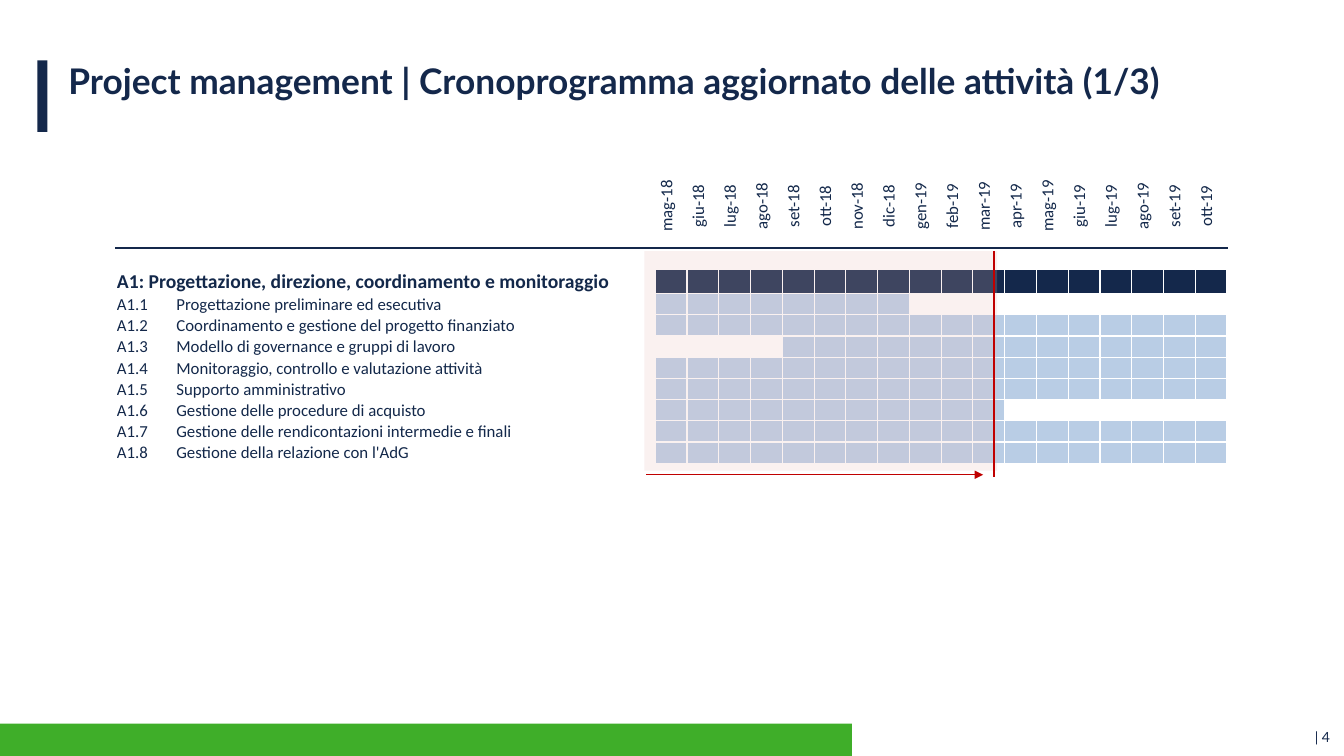
from dataclasses import dataclass

from lxml import etree
from pptx import Presentation
from pptx import util as u
from pptx.dml import color
from pptx.enum import shapes, text
from pptx.oxml import ns


@dataclass(frozen=True)
class Theme:
    navy: str = "14284B"
    table_text: str = "13284A"
    green: str = "3FAE29"
    bar: str = "B9CDE5"
    white: str = "FFFFFF"
    elapsed: str = "E6B9B8"
    red: str = "C00000"
    heading_font: str = "Lato"
    table_font: str = "Calibri"
    title_size: float = 25.2
    phase_size: float = 14
    table_size: float = 12
    page_size: float = 10
    empty_size: float = 8


THEME = Theme()
MONTHS = ["mag", "giu", "lug", "ago", "set", "ott", "nov", "dic", "gen",
          "feb", "mar", "apr", "mag", "giu", "lug", "ago", "set", "ott"]
FIRST_YEAR_MONTHS = 8
PHASE = "A1: Progettazione, direzione, coordinamento e monitoraggio"
ACTIVITIES = [
    ("Progettazione preliminare ed esecutiva", 0, 8),
    ("Coordinamento e gestione del progetto finanziato", 0, 18),
    ("Modello di governance e gruppi di lavoro", 4, 18),
    ("Monitoraggio, controllo e valutazione attività", 0, 18),
    ("Supporto amministrativo", 0, 18),
    ("Gestione delle procedure di acquisto", 0, 11),
    ("Gestione delle rendicontazioni intermedie e finali", 0, 18),
    ("Gestione della relazione con l'AdG", 0, 18),
]
LABEL_WIDTHS = [0.59, 4.76]
TABLE_WIDTH = 11.02
ROW_HEIGHTS = [0.83, 0.21, 0.24] + [0.21] * len(ACTIVITIES)


def rgb(value):
    return color.RGBColor.from_string(value)


def write_text(frame, wording, size, font=THEME.table_font, ink=THEME.table_text,
               bold=False, align=text.PP_ALIGN.LEFT):
    para = frame.paragraphs[0]
    para.alignment = align
    span = para.add_run()
    span.text = wording
    span.font.size = u.Pt(size)
    span.font.name = font
    span.font.bold = bold
    span.font.color.rgb = rgb(ink)


def add_text_box(page, left, top, width, height, wording, size,
                 anchor=text.MSO_ANCHOR.TOP, **style):
    box = page.shapes.add_textbox(*map(u.Inches, (left, top, width, height)))
    box.text_frame.word_wrap = True
    box.text_frame.vertical_anchor = anchor
    write_text(box.text_frame, wording, size, font=THEME.heading_font,
               ink=THEME.navy, **style)


def add_rectangle(parent, left, top, width, height, fill, opacity=100):
    box = parent.shapes.add_shape(shapes.MSO_SHAPE.RECTANGLE,
                                  *map(u.Inches, (left, top, width, height)))
    box.shadow.inherit = False
    box.fill.solid()
    box.fill.fore_color.rgb = rgb(fill)
    box.line.fill.background()
    if opacity < 100:
        tint = box.fill._xPr.find(".//" + ns.qn("a:srgbClr"))
        etree.SubElement(tint, ns.qn("a:alpha"), val=str(opacity * 1000))


def add_line(parent, x1, y1, x2, y2, width, arrow=False):
    line = parent.shapes.add_connector(shapes.MSO_CONNECTOR.STRAIGHT,
                                       *map(u.Inches, (x1, y1, x2, y2)))
    line.line.color.rgb = rgb(THEME.red)
    line.line.width = u.Pt(width)
    if arrow:
        etree.SubElement(line.line._get_or_add_ln(), ns.qn("a:tailEnd"), type="triangle")
    etree.SubElement(line._element.spPr, ns.qn("a:effectLst"))


def set_borders(cell, top, bottom):
    properties = cell._tc.get_or_add_tcPr()
    sides = {"L": THEME.white, "R": THEME.white, "T": top, "B": bottom}
    for position, (side, ink) in enumerate(sides.items()):
        border = etree.Element(ns.qn(f"a:ln{side}"), w=str(u.Pt(1)))
        fill = etree.SubElement(border, ns.qn("a:solidFill"))
        etree.SubElement(fill, ns.qn("a:srgbClr"), val=ink)
        properties.insert(position, border)


def format_cell(cell, fill=THEME.white, top=THEME.white, bottom=THEME.white):
    cell.margin_left = cell.margin_right = cell.margin_top = u.Inches(0.01)
    cell.margin_bottom = 0
    cell.vertical_anchor = text.MSO_ANCHOR.MIDDLE
    cell.fill.solid()
    cell.fill.fore_color.rgb = rgb(fill)
    set_borders(cell, top, bottom)


def bar_fill(row, month):
    if row == 2:
        return THEME.navy
    if row > 2:
        _, start, end = ACTIVITIES[row - 3]
        if start <= month < end:
            return THEME.bar
    return THEME.white


def cell_fill(row, column):
    month = column - len(LABEL_WIDTHS)
    return THEME.white if month < 0 else bar_fill(row, month)


def add_schedule(page):
    month_width = (TABLE_WIDTH - sum(LABEL_WIDTHS)) / len(MONTHS)
    widths = LABEL_WIDTHS + [month_width] * len(MONTHS)
    frame = page.shapes.add_table(len(ROW_HEIGHTS), len(widths), u.Inches(1.15),
                                  u.Inches(1.63), u.Inches(TABLE_WIDTH),
                                  u.Inches(sum(ROW_HEIGHTS)))
    table = frame.table
    table.first_row = table.horz_banding = False
    for column, width in zip(table.columns, widths):
        column.width = u.Inches(width)
    for index, height in enumerate(ROW_HEIGHTS):
        table.rows[index].height = u.Inches(height)
        for column, cell in enumerate(table.rows[index].cells):
            format_cell(cell, cell_fill(index, column),
                        top=THEME.navy if index == 1 else THEME.white,
                        bottom=THEME.navy if index == 0 else THEME.white)
    for index, month in enumerate(MONTHS):
        cell = table.cell(0, index + len(LABEL_WIDTHS))
        cell._tc.get_or_add_tcPr().set("vert", "vert270")
        year = 18 if index < FIRST_YEAR_MONTHS else 19
        write_text(cell.text_frame, f"{month}-{year}", THEME.table_size,
                   align=text.PP_ALIGN.CENTER)
    phase = table.cell(2, 0)
    phase.merge(table.cell(2, 1))
    phase.vertical_anchor = text.MSO_ANCHOR.BOTTOM
    write_text(phase.text_frame, PHASE, THEME.phase_size, bold=True)
    for number, (activity, _, _) in enumerate(ACTIVITIES, 1):
        for column, wording in enumerate((f"A1.{number}", activity)):
            write_text(table.cell(number + 2, column).text_frame, wording, THEME.table_size)
    for cell in table.iter_cells():
        if not cell.text:
            etree.SubElement(cell.text_frame.paragraphs[0]._p, ns.qn("a:endParaRPr"),
                             sz=str(THEME.empty_size * 100))


def add_progress(page):
    progress = page.shapes.add_group_shape()
    add_rectangle(progress, 6.39, 2.49, 3.5, 2.18, THEME.elapsed, opacity=20)
    add_line(progress, 9.86, 2.49, 9.86, 4.73, 1.5)
    add_line(progress, 6.41, 4.71, 9.75, 4.71, 0.75, arrow=True)


def main():
    deck = Presentation()
    deck.slide_width = u.Inches(13.33)
    deck.slide_height = u.Inches(7.5)
    page = deck.slides.add_slide(deck.slide_layouts[6])
    add_rectangle(page, 0, 7.18, 8.45, 0.32, THEME.green)
    add_rectangle(page, 0.37, 0.6, 0.1, 0.71, THEME.navy)
    add_text_box(page, 10.13, 7.18, 3.16, 0.27, "| 4", THEME.page_size,
                 align=text.PP_ALIGN.RIGHT)
    add_text_box(page, 0.58, 0.6, 12, 0.39,
                 "Project management | Cronoprogramma aggiornato delle attività (1/3)",
                 THEME.title_size, anchor=text.MSO_ANCHOR.MIDDLE, bold=True)
    add_schedule(page)
    add_progress(page)
    deck.save("out.pptx")


if __name__ == "__main__":
    main()
